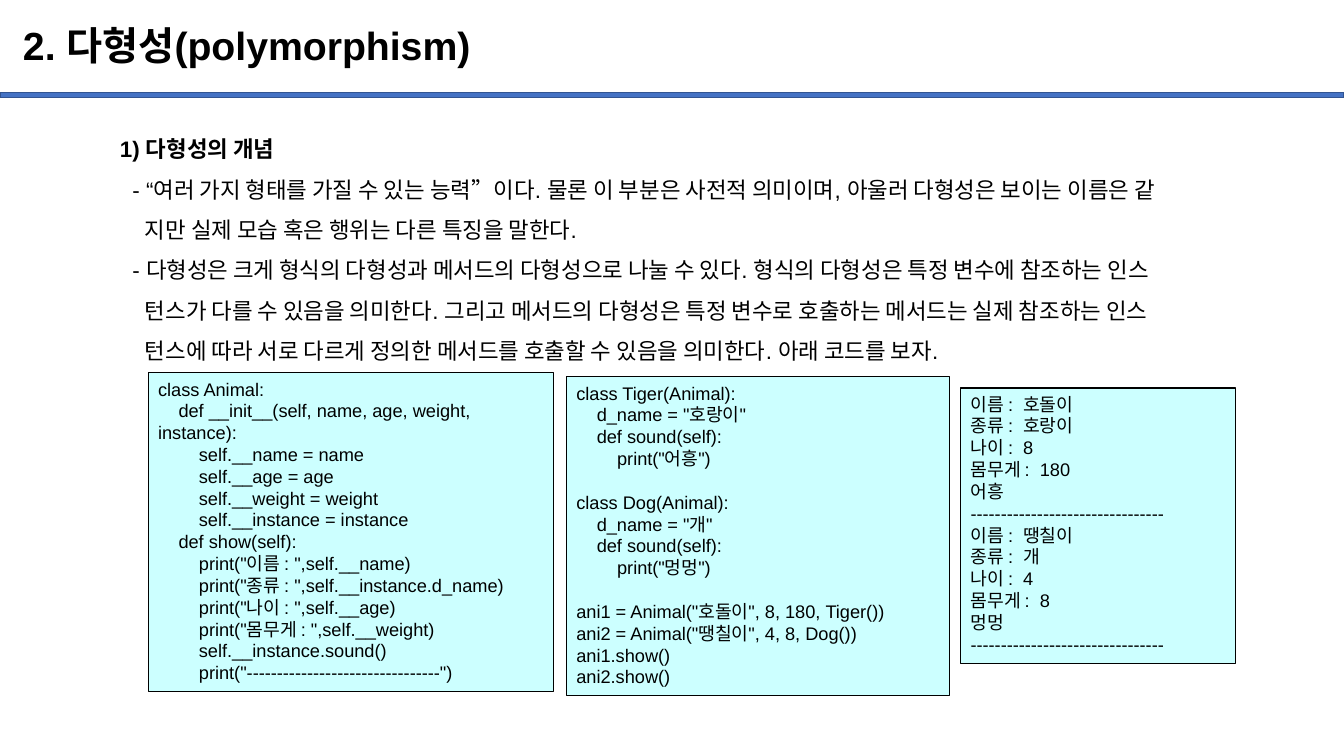
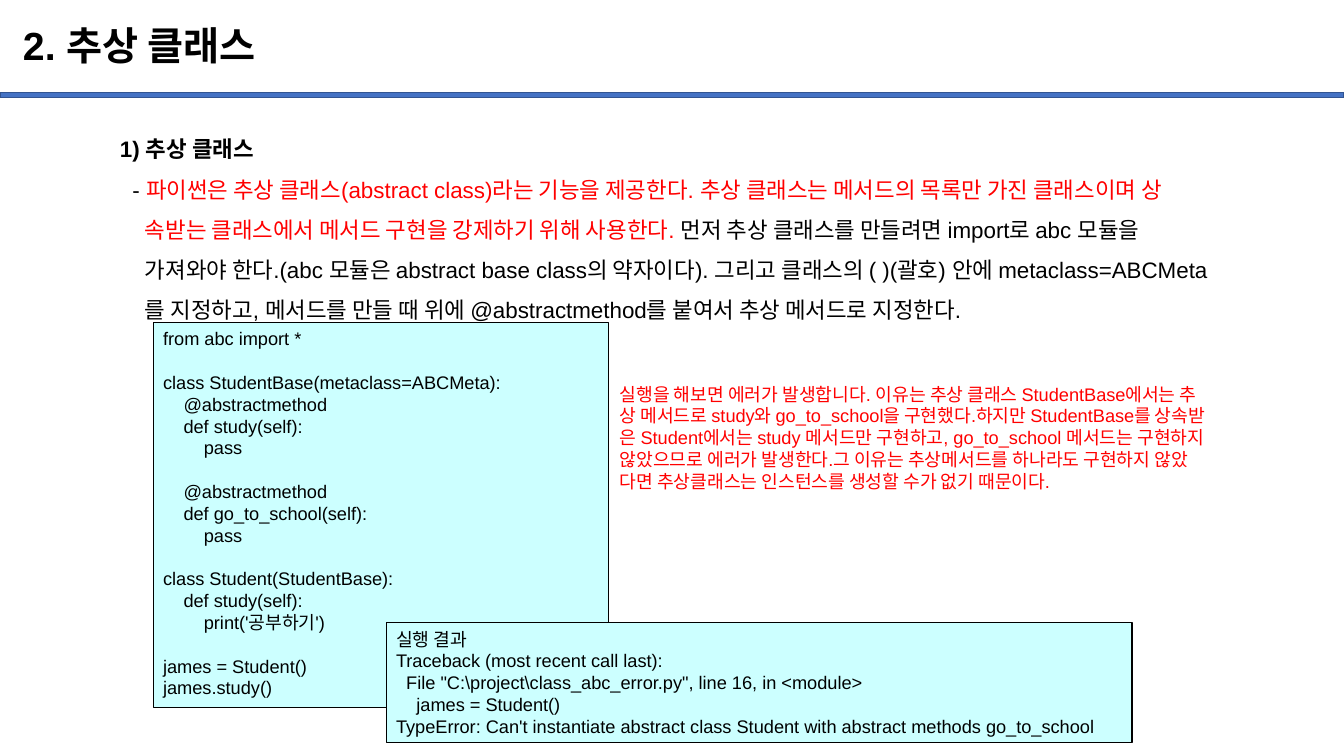
from dataclasses import dataclass

from pptx import Presentation
from pptx.dml.color import RGBColor as Color
from pptx.enum.shapes import MSO_SHAPE as Preset
from pptx.enum.text import MSO_ANCHOR as Anchor, MSO_AUTO_SIZE as AutoSize, PP_ALIGN as Align
from pptx.util import Inches, Pt


@dataclass(frozen=True)
class Theme:
    font: str = "Arial"
    ink: str = "000000"
    accent: str = "FF0000"
    band: str = "4472C4"
    band_line: str = "325491"
    code_fill: str = "CCFFFF"
    title_size: int = 28
    body_size: int = 16
    code_size: int = 13
    line_height: float = 1.2   # of the type size
    body_leading: float = 1.5  # body lines are set wider
    space_width: float = 0.28  # one space, of the type size


THEME = Theme()
TITLE_ONLY = 5

# Places are left, top, width, height as percent of the slide
TITLE_PLACE = (0.96, 1.33, 86.25, 9.87)
BAND_PLACE = (0, 12.27, 100, 0.67)
BODY_LEFT, BODY_TOP, BODY_WIDTH = 8.18, 15.47, 87.9

# Slide 1 wording
POLYMORPHISM = [
    "1) 다형성의 개념",
    "  - “여러 가지 형태를 가질 수 있는 능력”이다. 물론 이 부분은 사전적 의미이며, 아울러 다형성은 보이는 이름은 같",
    "    지만 실제 모습 혹은 행위는 다른 특징을 말한다.",
    "  - 다형성은 크게 형식의 다형성과 메서드의 다형성으로 나눌 수 있다. 형식의 다형성은 특정 변수에 참조하는 인스",
    "    턴스가 다를 수 있음을 의미한다. 그리고 메서드의 다형성은 특정 변수로 호출하는 메서드는 실제 참조하는 인스",
    "    턴스에 따라 서로 다르게 정의한 메서드를 호출할 수 있음을 의미한다. 아래 코드를 보자.",
]
ANIMAL_CODE = '''
class Animal:
    def __init__(self, name, age, weight, instance):
        self.__name = name
        self.__age = age
        self.__weight = weight
        self.__instance = instance
    def show(self):
        print("이름 : ",self.__name)
        print("종류 : ",self.__instance.d_name)
        print("나이 : ",self.__age)
        print("몸무게 : ",self.__weight)
        self.__instance.sound()
        print("--------------------------------")
'''
TIGER_DOG_CODE = '''
class Tiger(Animal):
    d_name = "호랑이"
    def sound(self):
        print("어흥")

class Dog(Animal):
    d_name = "개"
    def sound(self):
        print("멍멍")

ani1 = Animal("호돌이", 8, 180, Tiger())
ani2 = Animal("땡칠이", 4, 8, Dog())
ani1.show()
ani2.show()
'''
ANIMAL_OUTPUT = '''
이름 :  호돌이
종류 :  호랑이
나이 :  8
몸무게 :  180
어흥
--------------------------------
이름 :  땡칠이
종류 :  개
나이 :  4
몸무게 :  8
멍멍
--------------------------------
'''

# Slide 2 wording; a line of several colours is a list of (text, colour)
ABSTRACT_CLASS = [
    "1) 추상 클래스",
    [("  - ", THEME.ink),
     ("파이썬은 추상 클래스(abstract class)라는 기능을 제공한다. 추상 클래스는 메서드의 목록만 가진 클래스이며 상",
      THEME.accent)],
    [("    속받는 클래스에서 메서드 구현을 강제하기 위해 사용한다. ", THEME.accent),
     ("먼저 추상 클래스를 만들려면 import로 abc 모듈을", THEME.ink)],
    "    가져와야 한다.(abc 모듈은 abstract base class의 약자이다). 그리고 클래스의 ( )(괄호) 안에 metaclass=ABCMeta",
    "    를 지정하고, 메서드를 만들 때 위에 @abstractmethod를 붙여서 추상 메서드로 지정한다.",
]
STUDENT_CODE = '''
from abc import *

class StudentBase(metaclass=ABCMeta):
    @abstractmethod
    def study(self):
        pass

    @abstractmethod
    def go_to_school(self):
        pass

class Student(StudentBase):
    def study(self):
        print('공부하기')

james = Student()
james.study()
'''
STUDENT_OUTPUT = r'''
실행 결과
Traceback (most recent call last):
  File "C:\project\class_abc_error.py", line 16, in <module>
    james = Student()
TypeError: Can't instantiate abstract class Student with abstract methods go_to_school
'''
ERROR_NOTE = '''
실행을 해보면 에러가 발생합니다. 이유는 추상 클래스 StudentBase에서는 추
상 메서드로 study와 go_to_school을 구현했다.하지만 StudentBase를 상속받
은 Student에서는 study 메서드만 구현하고, go_to_school 메서드는 구현하지
않았으므로 에러가 발생한다.그 이유는 추상메서드를 하나라도 구현하지 않았
다면 추상클래스는 인스턴스를 생성할 수가 없기 때문이다.
'''


def apply(target, values):
    for name, value in values.items():
        setattr(target, name, value)


class Deck:
    """Holds the style and the slide being filled."""

    def __init__(self, theme):
        self.theme = theme
        self.presentation = Presentation()
        apply(self.presentation, {"slide_width": Inches(13.33), "slide_height": Inches(7.5)})
        self.layout = self.presentation.slide_layouts[TITLE_ONLY]
        self.slide = None

    def place(self, left, top, width, height):
        across = self.presentation.slide_width / 100
        down = self.presentation.slide_height / 100
        return [round(share * unit) for share, unit in
                zip((left, top, width, height), (across, down, across, down))]

    def add_slide(self, title):
        first = self.slide is None
        self.slide = self.presentation.slides.add_slide(self.layout)
        if first:
            self.add_band()
        shape = self.slide.shapes.title
        apply(shape, dict(zip(("left", "top", "width", "height"), self.place(*TITLE_PLACE))))
        self.set_frame(shape, Anchor.MIDDLE)
        paragraph = shape.text_frame.paragraphs[0]
        apply(paragraph, {"alignment": Align.LEFT, "line_spacing": 0.9})
        self.add_run(paragraph, title, self.theme.title_size, self.theme.ink, True)

    def add_band(self):
        """The band is drawn once and moved to the layout, behind its placeholders."""
        band = self.add_rectangle(BAND_PLACE, self.theme.band, self.theme.band_line, 1)
        band.element.xpath(".//p:cNvPr")[0].set("id", "90")
        self.layout.shapes.element.insert(2, band.element)

    def add_rectangle(self, place, fill, line, line_width):
        shape = self.slide.shapes.add_shape(Preset.RECTANGLE, *self.place(*place))
        shape.shadow.inherit = False
        shape.fill.solid()
        shape.fill.fore_color.rgb = Color.from_string(fill)
        shape.line.color.rgb = Color.from_string(line)
        shape.line.width = Pt(line_width)
        return shape

    def add_code(self, place, code):
        shape = self.add_rectangle(place, self.theme.code_fill, self.theme.ink, 0.75)
        self.add_lines(shape, code.strip("\n").splitlines(), self.theme.code_size)

    def add_body(self, height, lines):
        shape = self.slide.shapes.add_textbox(
            *self.place(BODY_LEFT, BODY_TOP, BODY_WIDTH, height))
        self.add_lines(shape, lines, self.theme.body_size,
                       leading=self.theme.body_leading, bold_first=True)

    def add_note(self, place, text):
        shape = self.slide.shapes.add_textbox(*self.place(*place))
        self.add_lines(shape, text.strip("\n").splitlines(), self.theme.code_size,
                       colour=self.theme.accent)

    def set_frame(self, shape, anchor):
        apply(shape.text_frame, {"word_wrap": True, "auto_size": AutoSize.NONE,
                                 "vertical_anchor": anchor})

    def add_lines(self, shape, lines, size, colour=None, leading=1, bold_first=False):
        """Leading spaces become a first-line indent, empty lines a space before."""
        self.set_frame(shape, Anchor.TOP)
        pitch = Pt(round(size * self.theme.line_height * leading, 2))
        paragraph, gap = shape.text_frame.paragraphs[0], 0
        for number, line in enumerate(lines):
            if not line:
                gap += pitch
                continue
            if number:
                paragraph = shape.text_frame.add_paragraph()
            apply(paragraph, {"alignment": Align.LEFT, "line_spacing": pitch,
                              "space_before": Pt(gap / Pt(1))})
            gap = 0
            runs = [(line, colour or self.theme.ink)] if isinstance(line, str) else line
            first_text = runs[0][0]
            spaces = len(first_text) - len(first_text.lstrip())
            indent = Pt(spaces * size * self.theme.space_width)
            properties = paragraph._p.get_or_add_pPr()
            properties.set("marL", "0")
            properties.set("indent", str(int(indent)))
            for position, (text, run_colour) in enumerate(runs):
                self.add_run(paragraph, text if position else text.lstrip(), size,
                             run_colour, bold_first and number == 0)

    def add_run(self, paragraph, text, size, colour, bold):
        run = paragraph.add_run()
        run.text = text
        apply(run.font, {"name": self.theme.font, "size": Pt(size), "bold": bold})
        run.font.color.rgb = Color.from_string(colour)


def main():
    deck = Deck(THEME)

    # Polymorphism: concept, two code panels and their output
    deck.add_slide("2. 다형성(polymorphism)")
    deck.add_body(32.93, POLYMORPHISM)
    deck.add_code((11.03, 49.33, 30.15, 42.13), ANIMAL_CODE)
    deck.add_code((42.15, 49.87, 28.5, 42.13), TIGER_DOG_CODE)
    deck.add_code((71.48, 51.33, 20.48, 36.4), ANIMAL_OUTPUT)

    # Abstract class: code, its error output and the reason
    deck.add_slide("2. 추상 클래스")
    deck.add_body(27.6, ABSTRACT_CLASS)
    deck.add_code((11.4, 42.67, 33.9, 50.93), STUDENT_CODE)
    deck.add_code((28.73, 82.4, 55.5, 15.87), STUDENT_OUTPUT)
    deck.add_note((45.38, 50, 48.98, 15.87), ERROR_NOTE)

    deck.presentation.save("out.pptx")


if __name__ == "__main__":
    main()
